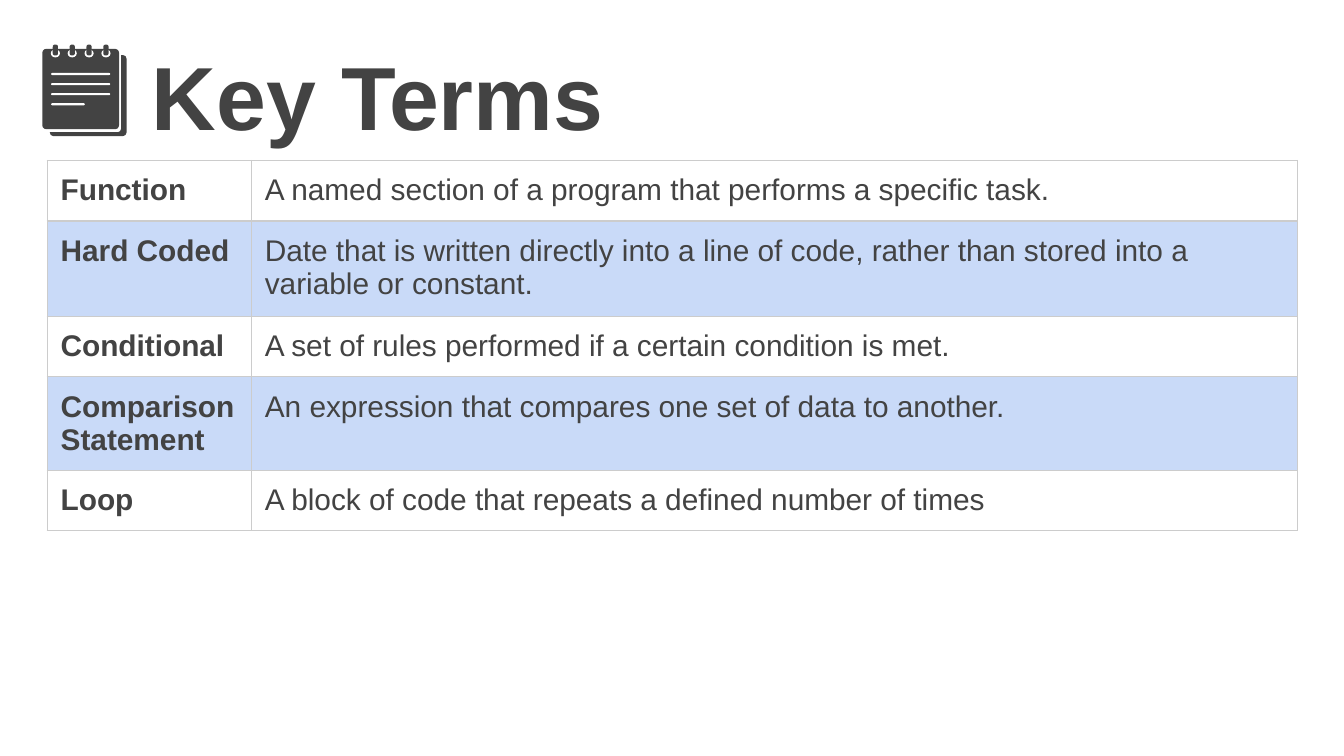
from dataclasses import dataclass

from lxml.etree import SubElement
from pptx import Presentation
from pptx.dml.color import RGBColor
from pptx.enum.shapes import MSO_SHAPE
from pptx.enum.text import MSO_ANCHOR, MSO_AUTO_SIZE, PP_ALIGN
from pptx.oxml.ns import qn
from pptx.util import Pt


@dataclass(frozen=True)
class Theme:
    font: str = "Arial"
    ink: str = "434343"
    paper: str = "FFFFFF"
    band: str = "C9DAF8"
    border: str = "CCCCCC"
    title_size: float = 48
    body_size: float = 16
    border_width: float = 0.75
    inset: float = 7.2


class SlideBuilder:
    def __init__(self, deck, theme):
        self.theme = theme
        self.page = deck.slides.add_slide(deck.slide_layouts[5])

    def paint(self, shape, color):
        shape.shadow.inherit = False
        shape.fill.solid()
        shape.fill.fore_color.rgb = RGBColor.from_string(color)
        shape.line.fill.background()

    def add_run(self, para, text, size, bold):
        span = para.add_run()
        span.text = text
        span.font.name = self.theme.font
        span.font.size = Pt(size)
        span.font.bold = bold
        span.font.color.rgb = RGBColor.from_string(self.theme.ink)

    def title(self, text, left, top, width, height, top_inset):
        box = self.page.shapes.title
        box.left, box.top, box.width, box.height = map(Pt, (left, top, width, height))
        frame = box.text_frame
        frame.word_wrap = True
        frame.auto_size = MSO_AUTO_SIZE.NONE
        frame.vertical_anchor = MSO_ANCHOR.TOP
        frame.margin_left = frame.margin_right = Pt(self.theme.inset)
        frame.margin_top, frame.margin_bottom = Pt(top_inset), Pt(0)
        para = frame.paragraphs[0]
        para.alignment = PP_ALIGN.LEFT
        self.add_run(para, text, self.theme.title_size, True)

    def group(self):
        return self.page.shapes.add_group_shape()

    def shape(self, group, kind, left, top, width, height, color, rounding=None):
        shape = group.shapes.add_shape(kind, *map(Pt, (left, top, width, height)))
        if rounding is not None:
            shape.adjustments[0] = rounding
        self.paint(shape, color)

    def polygon(self, group, points, color):
        start, *rest = [(Pt(x), Pt(y)) for x, y in points]
        outline = group.shapes.build_freeform(*start)
        outline.add_line_segments(rest, close=True)
        self.paint(outline.convert_to_shape(), color)

    def cell_border(self, cell):
        properties = cell._tc.get_or_add_tcPr()
        for side in ("a:lnL", "a:lnR", "a:lnT", "a:lnB"):
            line = SubElement(properties, qn(side), w=str(Pt(self.theme.border_width)))
            fill = SubElement(line, qn("a:solidFill"))
            SubElement(fill, qn("a:srgbClr"), val=self.theme.border)

    def table(self, rows, left, top, widths, heights):
        frame = self.page.shapes.add_table(
            len(rows), len(widths), Pt(left), Pt(top), Pt(sum(widths)), Pt(sum(heights))
        )
        table = frame.table
        table.first_row = table.horz_banding = False
        for column, width in zip(table.columns, widths):
            column.width = Pt(width)
        for index, (row, height, texts) in enumerate(zip(table.rows, heights, rows)):
            row.height = Pt(height)
            color = self.theme.band if index % 2 else self.theme.paper
            for position, (cell, text) in enumerate(zip(row.cells, texts)):
                self.cell_border(cell)
                cell.fill.solid()
                cell.fill.fore_color.rgb = RGBColor.from_string(color)
                cell.margin_left = cell.margin_right = Pt(self.theme.inset)
                cell.margin_top = cell.margin_bottom = Pt(self.theme.inset)
                para = cell.text_frame.paragraphs[0]
                self.add_run(para, text, self.theme.body_size, position == 0)

    def notepad(self):
        ink, paper = self.theme.ink, self.theme.paper
        rounded = MSO_SHAPE.ROUNDED_RECTANGLE
        icon = self.group()
        back_sheet = [
            (64.9, 29.5), (66, 29.5), (67.3, 30.1), (67.8, 31.4), (67.8, 71),
            (67.3, 72.3), (66, 72.9), (28.5, 72.9), (27.2, 72.3), (26.7, 70.8),
            (63.4, 70.8), (64.4, 70.2), (64.9, 69),
        ]
        self.polygon(icon, back_sheet, ink)
        self.shape(icon, rounded, 22.7, 26.2, 41.1, 43, ink, 0.05)
        for index in range(4):
            offset = 9.04 * index
            self.shape(icon, MSO_SHAPE.OVAL, 27.2 + offset, 26.4, 4.9, 4.4, paper)
            self.shape(icon, rounded, 28.25 + offset, 23.9, 2.8, 5.8, ink, 0.4)
        for index, width in enumerate((31.6, 31.6, 31.6, 18)):
            self.shape(icon, rounded, 27.4, 39.1 + 5.4 * index, width, 1.1, paper, 0.5)


def main():
    deck = Presentation()
    deck.slide_width, deck.slide_height = Pt(720), Pt(405)
    slide = SlideBuilder(deck, Theme())
    terms = [
        ("Function", "A named section of a program that performs a specific task."),
        ("Hard Coded", "Date that is written directly into a line of code, "
                       "rather than stored into a variable or constant."),
        ("Conditional", "A set of rules performed if a certain condition is met."),
        ("Comparison Statement", "An expression that compares one set of data to another."),
        ("Loop", "A block of code that repeats a defined number of times"),
    ]
    single = 32.4
    slide.table(terms, 25.3, 86, (109.4, 560.2), (single, 51.1, single, 49.8, single))
    slide.title("Key Terms", 74.2, 10.1, 620.6, 62.6, 11.9)
    slide.notepad()
    deck.save("out.pptx")


if __name__ == "__main__":
    main()
